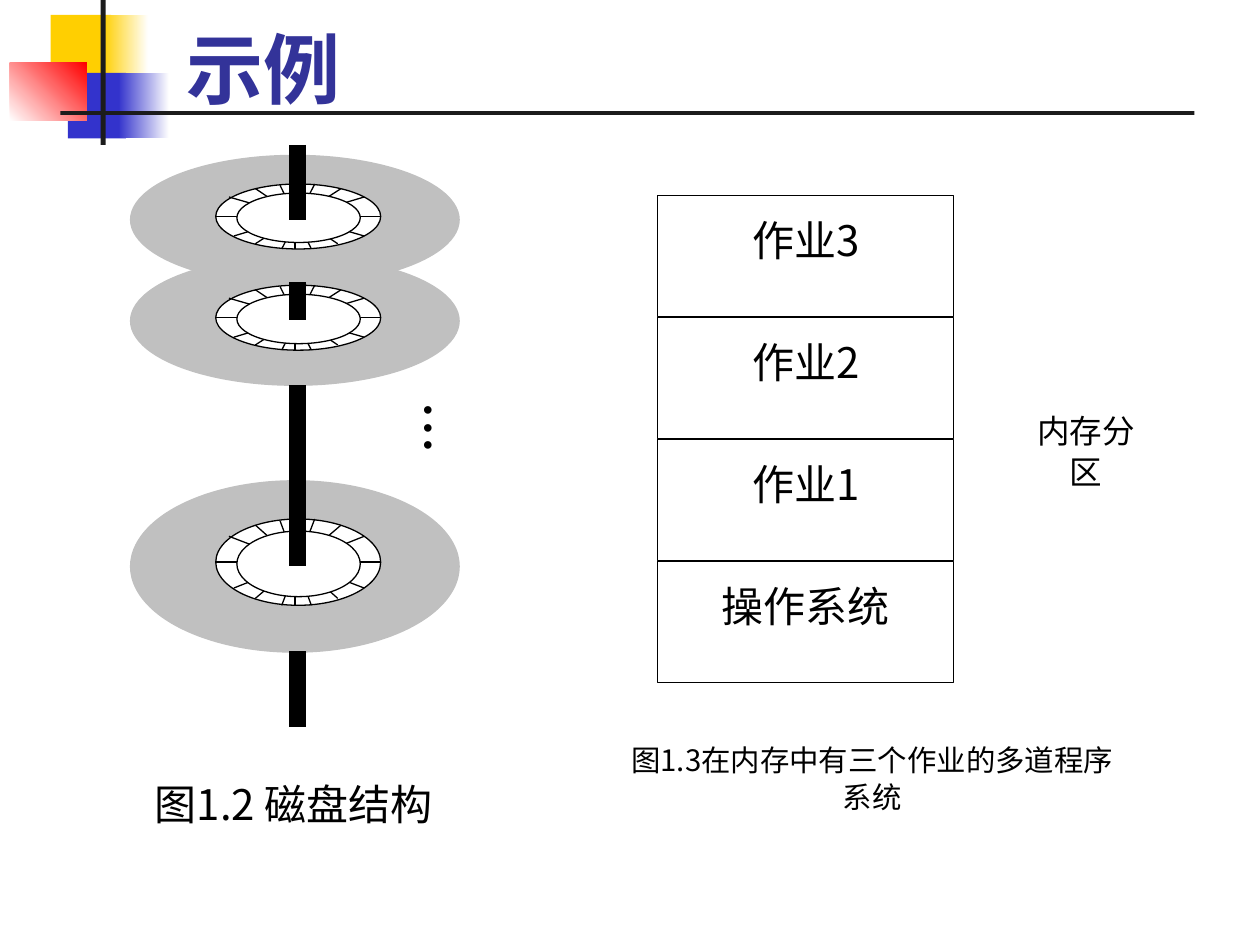
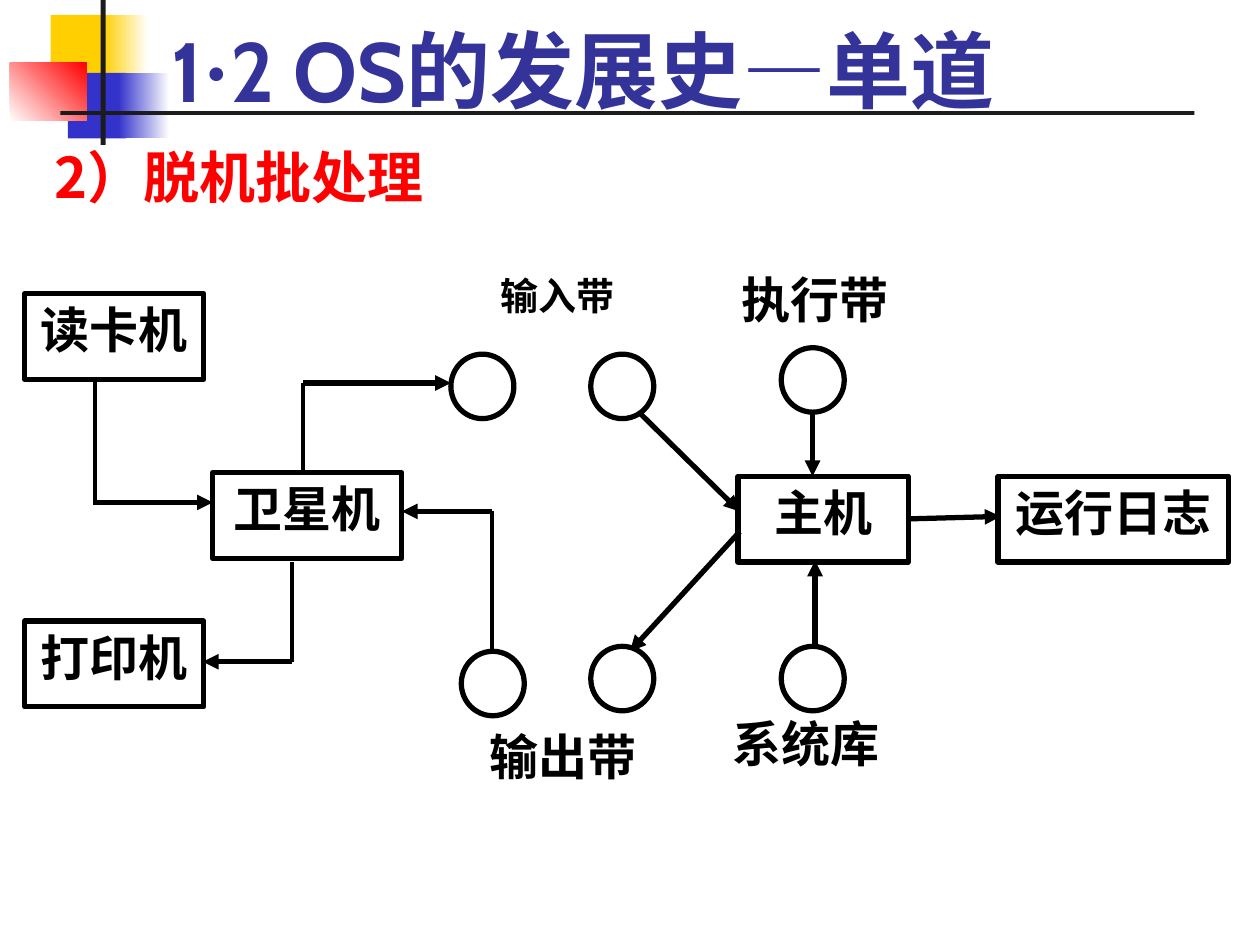
from lxml import etree
from pptx import Presentation
from pptx import util as u
from pptx.dml.color import RGBColor
from pptx.enum import shapes, text
from pptx.oxml import ns

BLACK = RGBColor(0x00, 0x00, 0x00)
WHITE = RGBColor(0xFF, 0xFF, 0xFF)
PLATTER_GRAY = RGBColor(0xC0, 0xC0, 0xC0)
TITLE_BLUE = RGBColor(0x33, 0x33, 0x99)
BAND_YELLOW = RGBColor(0xFF, 0xCF, 0x01)
BAND_BLUE = RGBColor(0x33, 0x33, 0xCC)
RED = RGBColor(0xFF, 0x00, 0x00)
RULE_BLACK = RGBColor(0x1C, 0x1C, 0x1C)

SANS = "Noto Sans CJK SC"
SERIF = "Times New Roman"
TITLE_FONT = "Cabin"
RECT = shapes.MSO_SHAPE.RECTANGLE
OVAL = shapes.MSO_SHAPE.OVAL
CENTER = text.PP_ALIGN.CENTER

SECTOR_LINES = [
    (0.6, 0, 0.4, 1),
    (0.24, 0.07, 0.74, 0.92),
    (0.39, 0.02, 0.58, 1),
    (0.48, 0, 0.48, 1),
    (0, 0.5, 1, 0.5),
    (0.76, 0.07, 0.24, 0.92),
    (0.9, 0.2, 0.11, 0.8),
    (0.9, 0.8, 0.08, 0.2),
]


def add_figure(slide, kind, left, top, width, height, fill, line_width=None):
    figure = slide.shapes.add_shape(kind, u.Cm(left), u.Cm(top), u.Cm(width), u.Cm(height))
    figure.shadow.inherit = False
    figure.fill.solid()
    figure.fill.fore_color.rgb = fill
    if line_width:
        figure.line.color.rgb = BLACK
        figure.line.width = u.Pt(line_width)
    else:
        figure.line.fill.background()
    return figure


def add_line(slide, x1, y1, x2, y2, width, arrow=False):
    line = slide.shapes.add_connector(
        shapes.MSO_CONNECTOR.STRAIGHT, u.Cm(x1), u.Cm(y1), u.Cm(x2), u.Cm(y2))
    line.line.color.rgb = BLACK
    line.line.width = u.Pt(width)
    if arrow:
        etree.SubElement(line.line._get_or_add_ln(), ns.qn("a:tailEnd"), type="triangle")
    etree.SubElement(line.element.spPr, ns.qn("a:effectLst"))


def style(paragraph, font, size, color=BLACK, bold=False):
    paragraph.font.name = font
    paragraph.font.size = u.Pt(size)
    paragraph.font.bold = bold
    paragraph.font.color.rgb = color


def write(holder, words, font, size, color=BLACK, bold=False, align=CENTER, spacing=1.0):
    frame = holder.text_frame
    frame.word_wrap = True
    frame.vertical_anchor = text.MSO_ANCHOR.TOP
    paragraph = frame.paragraphs[0]
    paragraph.text = words
    paragraph.alignment = align
    paragraph.line_spacing = spacing
    style(paragraph, font, size, color, bold)


def add_label(slide, left, top, width, height, words, font, size, inset=True, **looks):
    label = slide.shapes.add_textbox(u.Cm(left), u.Cm(top), u.Cm(width), u.Cm(height))
    if not inset:
        frame = label.text_frame
        frame.margin_left = frame.margin_right = frame.margin_top = frame.margin_bottom = 0
    write(label, words, font, size, **looks)
    return label


def add_band(slide, layout):
    for placeholder in list(layout.placeholders):
        if placeholder.placeholder_format.type != shapes.PP_PLACEHOLDER.TITLE:
            layout.shapes.element.remove(placeholder.element)
    blocks = [
        (1.02, 0.3, 1.22, 1.32, BAND_YELLOW, None, 0),
        (2.08, 0.3, 0.91, 1.32, BAND_YELLOW, WHITE, 0),
        (1.37, 1.47, 1.17, 1.32, BAND_BLUE, None, 0),
        (2.39, 1.47, 1.02, 1.32, BAND_BLUE, WHITE, 0),
        (0.2, 1.27, 1.55, 1.17, WHITE, RED, 45),
        (2.03, 0, 0.1, 2.92, RULE_BLACK, None, 0),
        (1.22, 2.24, 22.86, 0.08, RULE_BLACK, None, 0),
    ]
    for position, (left, top, width, height, color, fade, angle) in enumerate(blocks, 2):
        block = add_figure(slide, RECT, left, top, width, height, color)
        if fade is not None:
            block.fill.gradient()
            block.fill.gradient_angle = angle
            for stop, shade, place in zip(block.fill.gradient_stops, (color, fade), (0, 1)):
                stop.color.rgb = shade
                stop.position = place
        layout.shapes.element.insert(position, block.element)


def set_title(slide, left, top, width, height, size, pieces):
    title = slide.shapes.title
    title.left, title.top = u.Cm(left), u.Cm(top)
    title.width, title.height = u.Cm(width), u.Cm(height)
    frame = title.text_frame
    frame.vertical_anchor = text.MSO_ANCHOR.BOTTOM
    frame.auto_size = text.MSO_AUTO_SIZE.NONE
    paragraph = frame.paragraphs[0]
    paragraph.alignment = text.PP_ALIGN.LEFT
    style(paragraph, TITLE_FONT, size, TITLE_BLUE, True)
    for words, font in pieces:
        run = paragraph.add_run()
        run.text = words
        run.font.name = font


def draw_disk(slide, left, top, width, height):
    def part(x, y, w, h):
        return left + x * width, top + y * height, w * width, h * height

    add_figure(slide, OVAL, left, top, width, height, PLATTER_GRAY)
    ring = part(0.26, 0.225, 0.5, 0.5)
    add_figure(slide, OVAL, *ring, WHITE, 0.75)
    ring_left, ring_top, ring_width, ring_height = ring
    for x1, y1, x2, y2 in SECTOR_LINES:
        add_line(slide, ring_left + x1 * ring_width, ring_top + y1 * ring_height,
                 ring_left + x2 * ring_width, ring_top + y2 * ring_height, 0.75)
    add_figure(slide, OVAL, *part(0.324, 0.295, 0.374, 0.38), WHITE, 0.75)


def draw_disk_stack(slide, left, top, width):
    def spindle(start, end):
        x = left + 0.508 * width
        add_line(slide, x, top + start, x, top + end, 10)

    disks = [(0.2, 2.62, 0, 1.52), (2.24, 2.62, 2.77, 3.53), (6.76, 3.48, 4.85, 8.48)]
    for disk_top, height, start, end in disks:
        draw_disk(slide, left, top + disk_top, width, height)
        spindle(start, end)
    spindle(10.21, 11.73)
    dots = add_label(slide, left + 5.16, top + 5.26, 1.4, 2.34, "• • •", "Arial", 16,
                     inset=False, spacing=1.26)
    dots.element.txBody.bodyPr.set("vert", "eaVert")
    add_label(slide, left - 0.5, top + 12.62, 7.6, 1.17, "图1.2 磁盘结构", SANS, 24,
              inset=False, spacing=1.16)


def draw_memory(slide, left, top):
    partitions = [("作业3", SANS), ("作业2", SANS), ("作业1", SANS), ("操作系统", SERIF)]
    for row, (words, font) in enumerate(partitions):
        partition = add_figure(slide, RECT, left, top + row * 2.46, 5.97, 2.44, WHITE, 0.75)
        write(partition, words, font, 24, spacing=1.26)
    add_label(slide, left + 7.44, top + 4.29, 2.39, 1.63, "内存分区", SERIF, 18.6,
              inset=False, spacing=1.06)
    add_label(slide, left - 0.76, top + 10.97, 10.16, 1.6,
              "图1.3在内存中有三个作业的多道程序系统", SANS, 16.8, inset=False, spacing=1.06)


def draw_offline_batch(slide, left, top):
    machines = [
        ("读卡机", 0, 0.62, 3.61),
        ("打印机", 0, 7.22, 3.61),
        ("卫星机", 3.79, 4.23, 3.81),
        ("主机", 14.38, 4.3, 3.43),
        ("运行日志", 19.62, 4.3, 4.65),
    ]
    tapes = [(11.41, 1.84), (11.41, 7.73), (15.25, 1.71), (15.25, 7.73), (8.59, 1.84), (8.8, 7.83)]
    labels = [
        ("系统库", 13.67, 8.95, 4.17, 28, 1.0),
        ("输入带", 8.59, 0.24, 4.29, 21.7, 0.8),
        ("输出带", 8.8, 9.23, 4.09, 28, 1.0),
        ("执行带", 13.95, 0, 3.96, 28, 1.0),
    ]
    arrows = [
        (12.4, 3.03, 14.41, 5.01),
        (14.41, 5.42, 12.2, 7.83),
        (15.88, 3.01, 15.88, 4.3),
        (15.93, 7.73, 15.93, 6),
        (17.81, 5.16, 19.67, 5.11),
        (1.41, 4.83, 3.79, 4.83),
        (5.39, 8.04, 3.59, 8.04),
        (5.6, 2.42, 8.59, 2.42),
        (9.41, 5.01, 7.6, 5.01),
    ]
    stems = [(1.41, 2.29, 4.89), (5.39, 6.03, 8.04), (5.6, 2.42, 4.23), (9.41, 5.01, 7.83)]

    for words, x, y, width, size, spacing in labels:
        add_label(slide, left + x, top + y, width, 1.6, words, SERIF, size,
                  bold=True, spacing=spacing)
    for words, x, y, width in machines:
        machine = add_figure(slide, RECT, left + x, top + y, width, 1.73, WHITE, 3)
        write(machine, words, SERIF, 28, bold=True)
    for x1, y1, x2, y2 in arrows:
        add_line(slide, left + x1, top + y1, left + x2, top + y2, 3, arrow=True)
    for x, start, end in stems:
        add_line(slide, left + x, top + start, left + x, top + end, 2.25)
    for x, y in tapes:
        add_figure(slide, OVAL, left + x, top + y, 1.27, 1.3, WHITE, 3)


def main():
    deck = Presentation()
    deck.slide_width, deck.slide_height = u.Cm(25.4), u.Cm(19.05)
    layout = deck.slide_layouts[5]

    examples = deck.slides.add_slide(layout)
    add_band(examples, layout)
    set_title(examples, 3.51, 0.53, 7.7, 1.9, 44, [("示例", TITLE_FONT)])
    draw_disk_stack(examples, 2.62, 2.92, 6.65)
    draw_memory(examples, 13.26, 3.94)

    history = deck.slides.add_slide(layout)
    set_title(history, 3.2, 0.2, 21.77, 2.34, 48, [
        ("1", TITLE_FONT), ("·", SERIF), ("2 OS的发展史", TITLE_FONT),
        ("—", SERIF), ("单道", TITLE_FONT)])
    add_label(history, 0.84, 2.74, 24.56, 15.44, "2）脱机批处理", SANS, 32,
              color=RED, bold=True, align=text.PP_ALIGN.LEFT)
    draw_offline_batch(history, 0.5, 5.3)

    deck.save("out.pptx")


if __name__ == "__main__":
    main()
